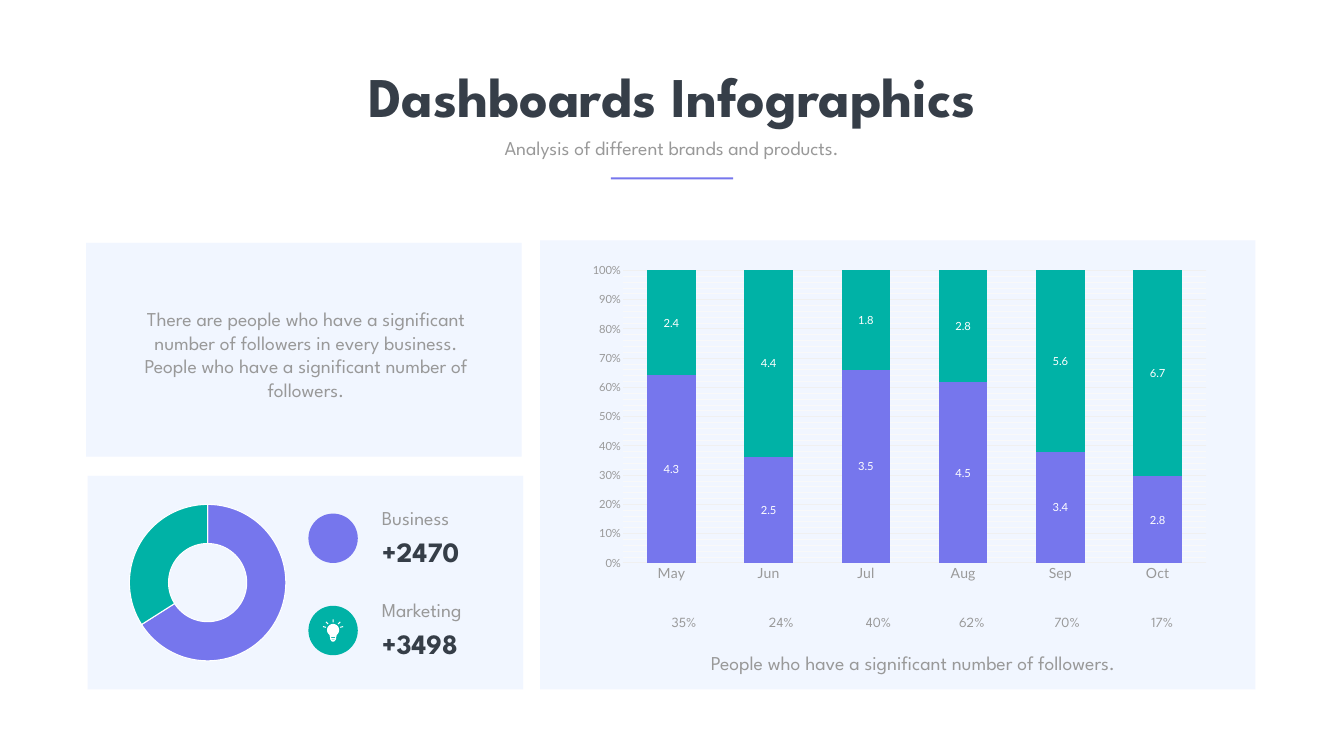
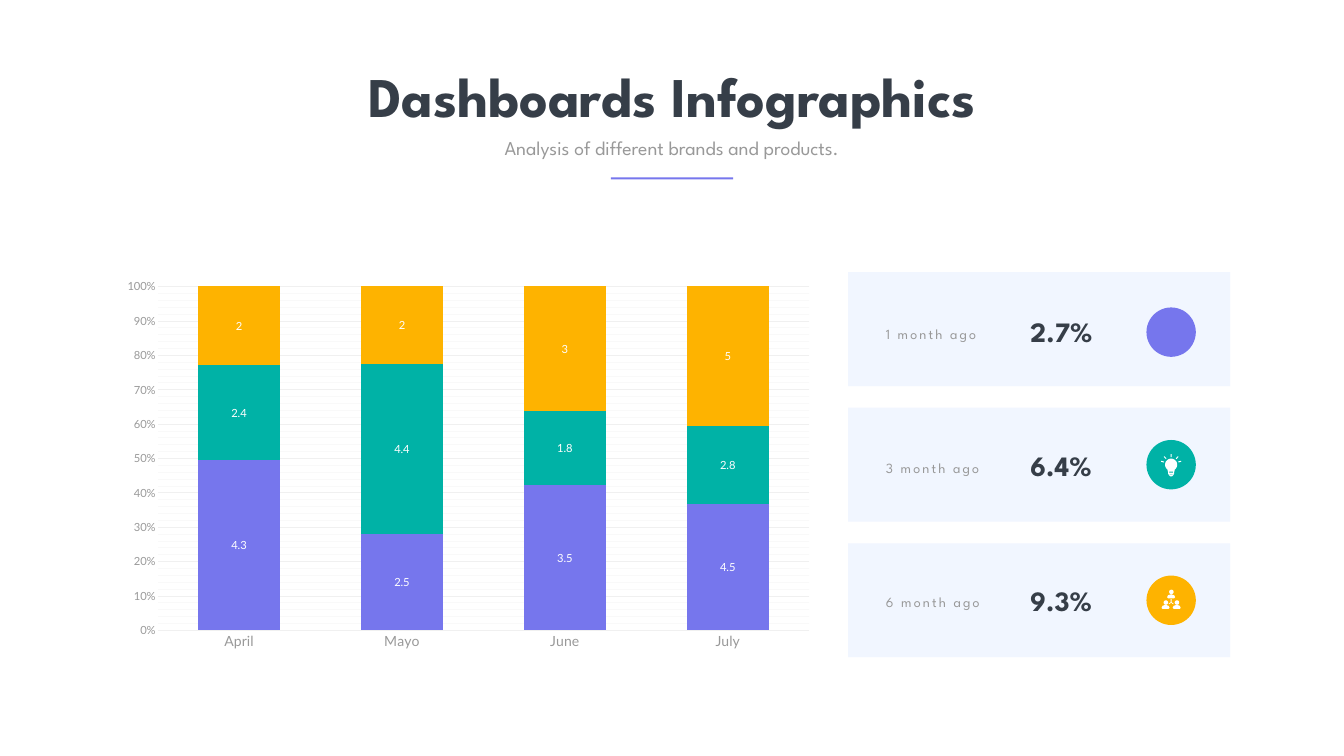
from dataclasses import dataclass
from math import cos, radians, sin

from lxml import etree
from pptx import Presentation
from pptx.chart.data import CategoryChartData
from pptx.dml.color import RGBColor
from pptx.enum.chart import XL_CHART_TYPE, XL_LABEL_POSITION, XL_TICK_MARK
from pptx.enum.shapes import MSO_SHAPE
from pptx.enum.text import MSO_AUTO_SIZE, PP_ALIGN
from pptx.oxml.ns import qn
from pptx.util import Inches, Pt

RECTANGLE = MSO_SHAPE.RECTANGLE
OVAL = MSO_SHAPE.OVAL
STACKED = XL_CHART_TYPE.COLUMN_STACKED_100
DOUGHNUT = XL_CHART_TYPE.DOUGHNUT
LABEL_CENTER = XL_LABEL_POSITION.CENTER
NO_TICK = XL_TICK_MARK.NONE
FIT_SHAPE = MSO_AUTO_SIZE.SHAPE_TO_FIT_TEXT
LEFT, CENTER = PP_ALIGN.LEFT, PP_ALIGN.CENTER


@dataclass(frozen=True)
class Theme:
    purple: str = "7676ED"
    teal: str = "00B2A6"
    amber: str = "FEB300"
    dark: str = "363E48"
    gray: str = "999999"
    panel: str = "EEF4FF"
    grid: str = "F0F0F0"
    minor_grid: str = "F9F9F9"
    white: str = "FFFFFF"
    text_font: str = "League Spartan"
    chart_font: str = "Lato"
    title_size: int = 80
    figure_size: int = 40
    body_size: int = 28
    small_size: int = 20
    axis_size: int = 16
    tall_line: float = 40.8
    panel_alpha: int = 80


def rgb(color):
    return RGBColor.from_string(color)


class Deck:
    def __init__(self, theme):
        self.theme = theme
        self.presentation = Presentation()
        self.presentation.slide_width = Inches(26.67)
        self.presentation.slide_height = Inches(15)
        self.slide = None

    def new_slide(self, title, subtitle):
        theme = self.theme
        self.slide = self.presentation.slides.add_slide(self.presentation.slide_layouts[6])
        self.text(title, 6.45, 1.17, 13.77, 1.45, theme.title_size, theme.dark,
                  bold=True, align=CENTER, wrap=False)
        self.text(subtitle, 8.55, 2.65, 9.56, 0.57, theme.body_size, align=CENTER)
        self.shape(RECTANGLE, 12.12, 3.52, 2.43, 0.04, theme.purple)

    def style_font(self, font, size, color, name, bold=False):
        settings = {"size": Pt(size), "name": name, "bold": bold}
        for attribute, value in settings.items():
            setattr(font, attribute, value)
        font.color.rgb = rgb(color)

    def text(self, words, left, top, width, height, size, color=None, bold=False,
             align=LEFT, wrap=True, line=None, tracking=None):
        box = self.slide.shapes.add_textbox(*map(Inches, (left, top, width, height)))
        frame = box.text_frame
        frame.word_wrap = wrap
        frame.auto_size = FIT_SHAPE
        paragraph = frame.paragraphs[0]
        paragraph.alignment = align
        if line:
            paragraph.line_spacing = Pt(line)
        run = paragraph.add_run()
        run.text = words
        self.style_font(run.font, size, color or self.theme.gray, self.theme.text_font, bold)
        if tracking:
            run.font._element.set("spc", str(tracking * 100))

    def paint(self, shape, color):
        shape.shadow.inherit = False
        shape.fill.solid()
        shape.fill.fore_color.rgb = rgb(color)
        shape.line.fill.background()

    def shape(self, kind, left, top, width, height, color, rotation=0):
        shape = self.slide.shapes.add_shape(kind, *map(Inches, (left, top, width, height)))
        self.paint(shape, color)
        shape.rotation = rotation
        return shape

    def panel(self, left, top, width, height):
        panel = self.shape(RECTANGLE, left, top, width, height, self.theme.panel)
        color = panel._element.spPr.find(qn("a:solidFill"))[0]
        etree.SubElement(color, qn("a:alpha"), val=str(self.theme.panel_alpha * 1000))

    def outline(self, x, y, contours):
        builder = None
        for contour in contours:
            points = [(Inches(x + dx), Inches(y + dy)) for dx, dy in contour]
            if builder is None:
                builder = self.slide.shapes.build_freeform(*points[0])
            else:
                builder.move_to(*points[0])
            builder.add_line_segments(points[1:], close=True)
        self.paint(builder.convert_to_shape(), self.theme.white)

    def disc(self, x, y, color):
        self.shape(OVAL, x - 0.49, y - 0.49, 0.98, 0.98, color)

    def bulb(self, x, y):
        head = [(0.12 * cos(radians(a)), 0.12 * sin(radians(a))) for a in range(130, 411, 10)]
        right = [(0.07, 0.1), (0.07, 0.12), (0.06, 0.14), (0.06, 0.18), (0.04, 0.21), (0.02, 0.23)]
        left = [(-dx, dy) for dx, dy in reversed(right)]
        bands = [[(-0.04, 0.14), (-0.04, 0.16), (0.04, 0.16), (0.04, 0.14)],
                 [(-0.04, 0.19), (-0.03, 0.2), (0.03, 0.2), (0.04, 0.19)]]
        self.outline(x, y, [head + right + left, *bands])
        rays = [(0, -0.18, 0), (0.12, -0.14, 45), (-0.12, -0.14, 315),
                (-0.17, -0.06, 285), (0.17, -0.06, 75)]
        for dx, dy, rotation in rays:
            self.shape(RECTANGLE, x + dx - 0.01, y + dy - 0.03, 0.02, 0.06,
                       self.theme.white, rotation)

    def team(self, x, y):
        body = [(-0.06, 0.13), (0.06, 0.13), (0.08, 0.11), (0.06, 0.07),
                (0, 0.05), (-0.06, 0.07), (-0.08, 0.11)]
        for dx, dy in [(0, -0.17), (-0.11, 0.04), (0.11, 0.04)]:
            self.shape(OVAL, x + dx - 0.04, y + dy - 0.04, 0.09, 0.09, self.theme.white)
            self.outline(x + dx, y + dy, [body])
        link = [(0.01, 0.04), (0.01, -0.02), (-0.01, -0.02), (-0.01, 0.04), (-0.05, 0.07),
                (-0.04, 0.08), (0, 0.05), (0.04, 0.08), (0.05, 0.07)]
        self.outline(x, y, [link])

    def chart(self, kind, left, top, width, height, categories, rows):
        data = CategoryChartData()
        data.categories = categories
        for number, values in enumerate(rows, 1):
            data.add_series(f"Series {number}", values)
        frame = self.slide.shapes.add_chart(kind, *map(Inches, (left, top, width, height)), data)
        chart = frame.chart
        chart.has_legend = False
        chart.has_title = False
        self.style_font(chart.font, self.theme.axis_size, self.theme.gray, self.theme.chart_font)
        return chart

    def minor_gridlines(self, axis):
        axis.has_minor_gridlines = True
        element = axis._element.find(qn("c:minorGridlines"))
        properties = etree.SubElement(element, qn("c:spPr"))
        line = etree.SubElement(properties, qn("a:ln"), w=str(Pt(0.75)))
        fill = etree.SubElement(line, qn("a:solidFill"))
        etree.SubElement(fill, qn("a:srgbClr"), val=self.theme.minor_grid)

    def stacked_chart(self, left, top, width, height, categories, rows):
        theme = self.theme
        chart = self.chart(STACKED, left, top, width, height, categories, rows)
        plot = chart.plots[0]
        for attribute, value in {"gap_width": 100, "overlap": 100,
                                 "vary_by_categories": False}.items():
            setattr(plot, attribute, value)
        for series, color in zip(plot.series, (theme.purple, theme.teal, theme.amber)):
            series.format.fill.solid()
            series.format.fill.fore_color.rgb = rgb(color)
            labels = series.data_labels
            labels.show_value = True
            labels.position = LABEL_CENTER
            self.style_font(labels.font, theme.axis_size, theme.white, theme.chart_font)
        category_axis, value_axis = chart.category_axis, chart.value_axis
        for axis, size in ((category_axis, theme.small_size), (value_axis, theme.axis_size)):
            axis.major_tick_mark = NO_TICK
            axis.minor_tick_mark = NO_TICK
            self.style_font(axis.tick_labels.font, size, theme.gray, theme.chart_font)
        value_axis.tick_labels.number_format = "0%"
        value_axis.tick_labels.number_format_is_linked = False
        value_axis.has_major_gridlines = True
        value_axis.format.line.fill.background()
        for line in (category_axis.format.line, value_axis.major_gridlines.format.line):
            line.color.rgb = rgb(theme.grid)
            line.width = Pt(0.75)
        self.minor_gridlines(value_axis)

    def doughnut(self, left, top, width, height, values):
        theme = self.theme
        chart = self.chart(DOUGHNUT, left, top, width, height, ["1", "2"], [values])
        plot = chart.plots[0]
        plot._element.find(qn("c:holeSize")).set("val", "75")
        for index, color in enumerate((theme.purple, theme.teal)):
            point = plot.series[0].points[index].format
            point.fill.solid()
            point.fill.fore_color.rgb = rgb(color)
            point.line.color.rgb = rgb(theme.white)
            point.line.width = Pt(1.5)


def build_followers(deck):
    theme = deck.theme
    deck.panel(1.71, 4.82, 8.64, 4.24)
    deck.panel(1.74, 9.44, 8.64, 4.24)
    deck.panel(10.72, 4.77, 14.19, 8.91)
    deck.doughnut(1.85, 9.87, 4.54, 3.38, [66, 34])
    entries = [("Business", "+2470", theme.purple), ("Marketing", "+3498", theme.teal)]
    for index, (name, figure, color) in enumerate(entries):
        top = 9.89 + 1.83 * index
        deck.disc(6.61, top + 0.79, color)
        deck.text(name, 7.48, top, 2.33, 0.62, theme.body_size, line=theme.tall_line)
        deck.text(figure, 7.48, top + 0.66, 2.33, 0.77, theme.figure_size, theme.dark, bold=True)
    deck.bulb(6.61, 12.5)
    deck.text("There are people who have a significant number of followers in every business. "
              "People who have a significant number of followers.",
              2.48, 6.04, 7.18, 1.99, theme.body_size, align=CENTER)
    deck.text("People who have a significant number of followers.",
              12.31, 12.86, 11.61, 0.57, theme.body_size, align=CENTER)
    deck.stacked_chart(11.51, 5.1, 12.68, 6.58, ["May", "Jun", "Jul", "Aug", "Sep", "Oct"],
                       [[4.3, 2.5, 3.5, 4.5, 3.4, 2.8], [2.4, 4.4, 1.8, 2.8, 5.6, 6.7]])
    shares = {"35%": 13.02, "24%": 14.95, "40%": 16.88, "62%": 18.73, "70%": 20.62, "17%": 22.51}
    for share, left in shares.items():
        deck.text(share, left, 11.9, 1.11, 0.65, theme.small_size,
                  align=CENTER, line=theme.tall_line)


def build_months(deck):
    theme = deck.theme
    months = [("1 month ago", "2.7%", theme.purple, 6.59),
              ("3 month ago", "6.4%", theme.teal, 9.22),
              ("6 month ago", "9.3%", theme.amber, 11.91)]
    for index, (period, figure, color, disc_y) in enumerate(months):
        text_top = 6.2 + 2.66 * index
        deck.panel(16.83, 5.4 + 2.69 * index, 7.58, 2.26)
        deck.text(figure, 20.35, text_top, 1.5, 0.77, theme.figure_size, theme.dark, bold=True)
        deck.text(period, 17.48, text_top + 0.2, 2.58, 0.44, theme.small_size, tracking=3)
        deck.disc(23.24, disc_y, color)
    deck.bulb(23.24, 9.22)
    deck.team(23.24, 11.91)
    deck.stacked_chart(2.25, 5.4, 14.09, 7.64, ["April", "Mayo", "June", "July"],
                       [[4.3, 2.5, 3.5, 4.5], [2.4, 4.4, 1.8, 2.8], [2, 2, 3, 5]])


def main():
    deck = Deck(Theme())
    for build in (build_followers, build_months):
        deck.new_slide("Dashboards Infographics", "Analysis of different brands and products.")
        build(deck)
    deck.presentation.save("out.pptx")


if __name__ == "__main__":
    main()
